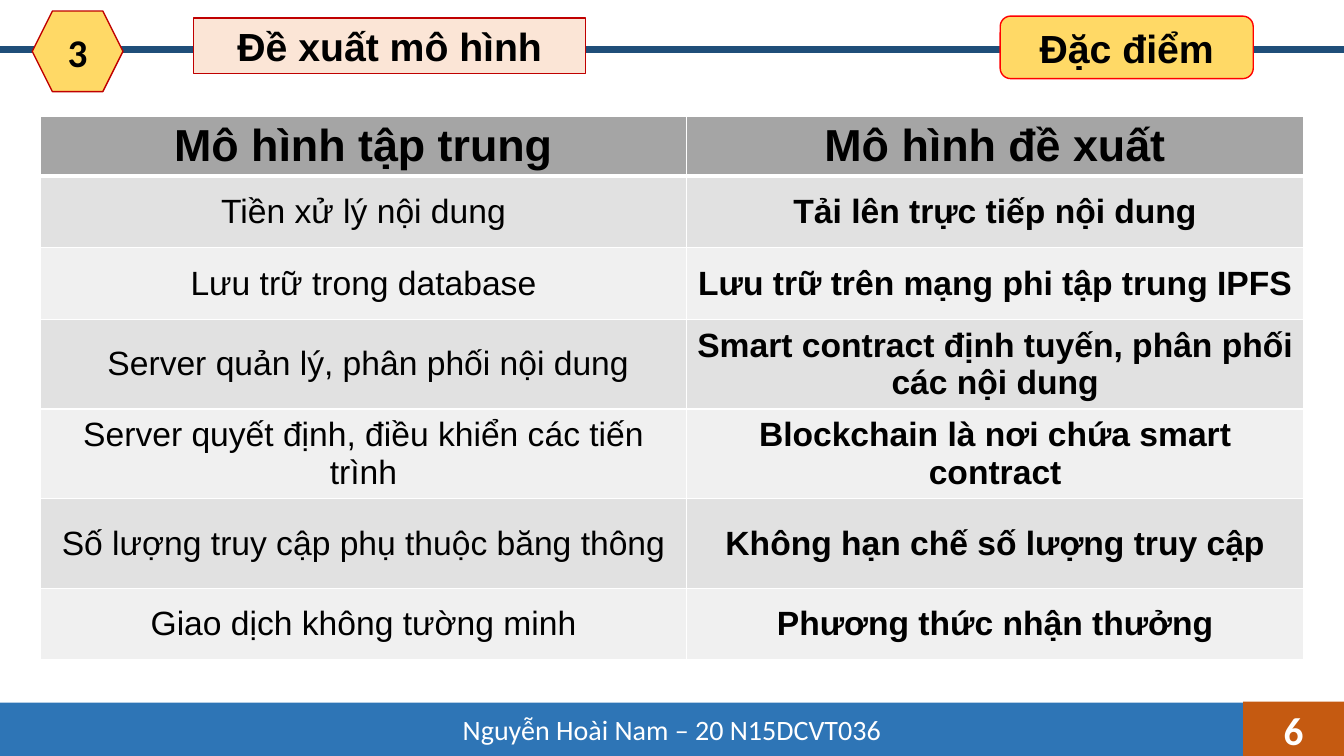
import dataclasses

import lxml.etree
import pptx
import pptx.dml.color
import pptx.enum.shapes
import pptx.enum.text
import pptx.oxml.ns
import pptx.util

Inches = pptx.util.Inches
SHAPE = pptx.enum.shapes.MSO_SHAPE
qn = pptx.oxml.ns.qn


@dataclasses.dataclass(frozen=True)
class Theme:
    black: str = "000000"
    white: str = "FFFFFF"
    footer: str = "2E75B6"
    number: str = "C55A11"
    rule: str = "1F4E79"
    gold: str = "FFD966"
    peach: str = "FBE5D6"
    dark_red: str = "C00000"
    red: str = "FF0000"
    header: str = "A5A5A5"
    bands: tuple = ("E1E1E1", "F0F0F0")
    heading_font: str = "Arial"
    body_font: str = "Calibri"
    footer_size: int = 20
    cell_size: int = 24
    label_size: int = 28
    header_size: int = 32


def rgb(color):
    return pptx.dml.color.RGBColor.from_string(color)


def write_text(frame, text, *, size, font, color, bold=False):
    frame.word_wrap = True
    frame.vertical_anchor = pptx.enum.text.MSO_ANCHOR.MIDDLE
    para = frame.paragraphs[0]
    para.alignment = pptx.enum.text.PP_ALIGN.CENTER
    span = para.add_run()
    span.text = text
    span.font.size = pptx.util.Pt(size)
    span.font.name = font
    span.font.bold = bold
    span.font.color.rgb = rgb(color)


class SlideBuilder:
    def __init__(self, deck, theme):
        self.theme = theme
        self.page = deck.slides.add_slide(deck.slide_layouts[5])

    def paint(self, box, fill, outline):
        box.fill.solid()
        box.fill.fore_color.rgb = rgb(fill)
        if outline:
            box.line.color.rgb = rgb(outline)
            box.line.width = pptx.util.Pt(1)
        else:
            box.line.fill.background()

    def label(self, kind, place, text, fill, outline=None, **text_format):
        box = self.page.shapes.add_shape(kind, *map(Inches, place))
        box.shadow.inherit = False
        self.paint(box, fill, outline)
        write_text(box.text_frame, text, **text_format)

    def title(self, place, text, fill, outline, **text_format):
        """Turn the title placeholder into a pill in front of earlier shapes."""
        box = self.page.shapes.title
        box.left, box.top, box.width, box.height = map(Inches, place)
        properties = box._element.spPr
        geometry = lxml.etree.SubElement(properties, qn("a:prstGeom"), prst="roundRect")
        guides = lxml.etree.SubElement(geometry, qn("a:avLst"))
        lxml.etree.SubElement(guides, qn("a:gd"), name="adj", fmla="val 50000")
        self.paint(box, fill, outline)
        box.text_frame.auto_size = pptx.enum.text.MSO_AUTO_SIZE.NONE
        write_text(box.text_frame, text, **text_format)
        self.page.shapes._spTree.append(box._element)

    def rule(self, start, end, color, width):
        line = self.page.shapes.add_connector(
            pptx.enum.shapes.MSO_CONNECTOR.STRAIGHT, *map(Inches, start + end))
        line.line.color.rgb = rgb(color)
        line.line.width = pptx.util.Pt(width)
        lxml.etree.SubElement(line._element.spPr, qn("a:effectLst"))

    def cell_borders(self, cell, **widths):
        """Draw white borders; keywords L, R, T and B give widths in points."""
        properties = cell._tc.get_or_add_tcPr()
        for side, width in widths.items():
            border = lxml.etree.SubElement(
                properties, qn(f"a:ln{side}"), w=str(pptx.util.Pt(width)))
            fill = lxml.etree.SubElement(border, qn("a:solidFill"))
            lxml.etree.SubElement(fill, qn("a:srgbClr"), val=self.theme.white)

    def table(self, left, top, widths, heights, rows):
        theme = self.theme
        place = (left, top, sum(widths), sum(heights))
        table = self.page.shapes.add_table(
            len(rows), len(widths), *map(Inches, place)).table
        table.horz_banding = False
        for column, width in zip(table.columns, widths):
            column.width = Inches(width)
        for index, (row, height, texts) in enumerate(zip(table.rows, heights, rows)):
            row.height = Inches(height)
            is_header = index == 0
            for column, (cell, text) in enumerate(zip(row.cells, texts)):
                self.cell_borders(cell, L=1, R=1, T=3 if index == 1 else 1,
                                  B=3 if is_header else 1)
                cell.fill.solid()
                cell.fill.fore_color.rgb = rgb(
                    theme.header if is_header else theme.bands[(index - 1) % 2])
                cell.vertical_anchor = pptx.enum.text.MSO_ANCHOR.MIDDLE
                write_text(cell.text_frame, text, font=theme.heading_font,
                           size=theme.header_size if is_header else theme.cell_size,
                           color=theme.black, bold=is_header or column == 1)


COMPARISON = [
    ("Mô hình tập trung", "Mô hình đề xuất"),
    ("Tiền xử lý nội dung", "Tải lên trực tiếp nội dung"),
    ("Lưu trữ trong database", "Lưu trữ trên mạng phi tập trung IPFS"),
    (" Server quản lý, phân phối nội dung",
     "Smart contract định tuyến, phân phối các nội dung"),
    ("Server quyết định, điều khiển các tiến trình",
     "Blockchain là nơi chứa smart contract"),
    ("Số lượng truy cập phụ thuộc băng thông", "Không hạn chế số lượng truy cập"),
    ("Giao dịch không tường minh", "Phương thức nhận thưởng"),
]


def main():
    deck = pptx.Presentation()
    deck.slide_width, deck.slide_height = Inches(13.33), Inches(7.5)
    theme = Theme()
    slide = SlideBuilder(deck, theme)
    heading = dict(size=theme.label_size, font=theme.heading_font,
                   color=theme.black, bold=True)
    number = dict(heading, font=theme.body_font)

    slide.label(SHAPE.RECTANGLE, (0, 6.97, 13.33, 0.53),
                "Nguyễn Hoài Nam – 20 N15DCVT036", theme.footer,
                size=theme.footer_size, font=theme.body_font, color=theme.white)
    slide.label(SHAPE.RECTANGLE, (12.33, 6.96, 1, 0.56), "6", theme.number,
                **dict(number, color=theme.white))
    slide.rule((0, 0.49), (13.33, 0.49), theme.rule, 5.5)
    slide.label(SHAPE.HEXAGON, (0.32, 0.11, 0.9, 0.8), "3", theme.gold,
                theme.dark_red, **number)
    slide.title((1.92, 0.18, 3.89, 0.55), "Đề xuất mô hình", theme.peach,
                theme.dark_red, **heading)
    slide.label(SHAPE.FLOWCHART_ALTERNATE_PROCESS, (9.92, 0.16, 2.51, 0.62),
                "Đặc điểm", theme.gold, theme.red, **heading)
    slide.table(0.4, 1.15, (6.41, 6.12),
                (0.54, 0.71, 0.71, 0.89, 0.89, 0.89, 0.71), COMPARISON)
    deck.save("out.pptx")


if __name__ == "__main__":
    main()
